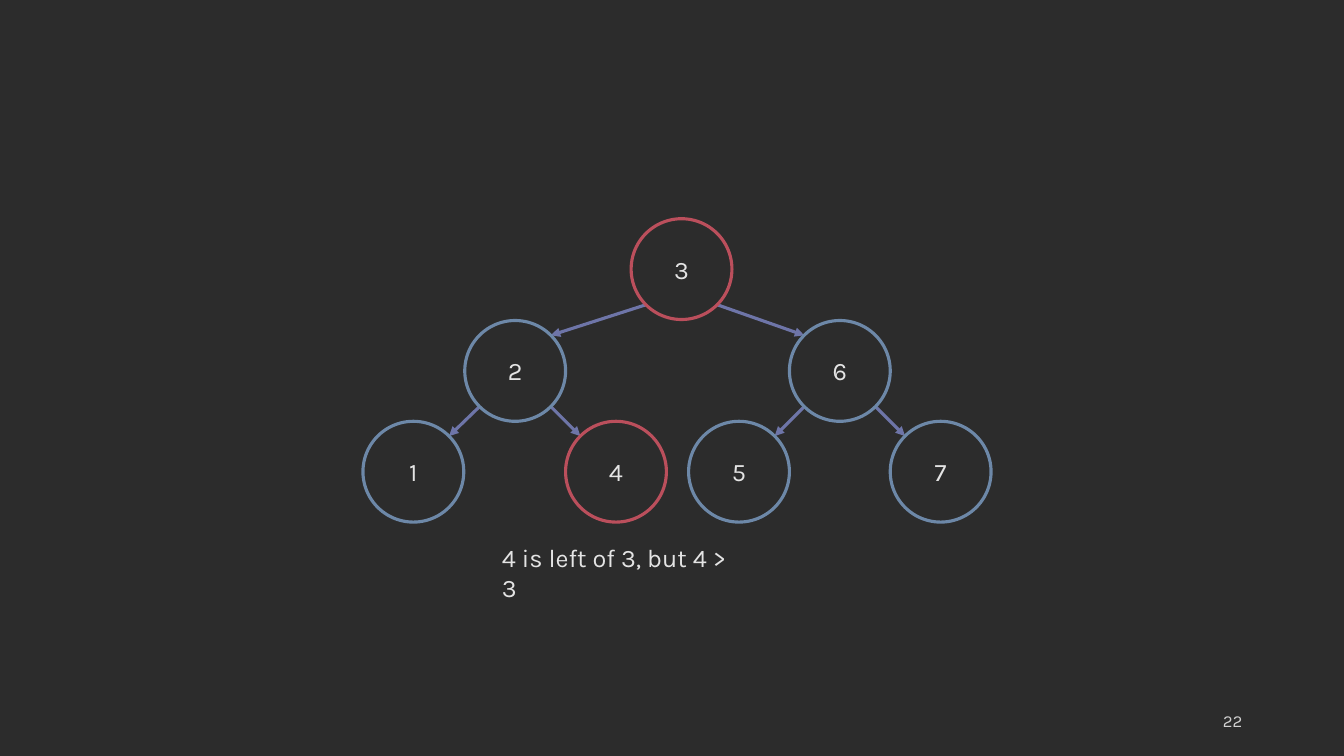
from dataclasses import dataclass
from math import sqrt

from pptx import Presentation
from pptx.dml.color import RGBColor
from pptx.enum import shapes, text
from pptx.oxml.ns import qn
from pptx.util import Inches, Pt

# Content: value -> left and top of the node, in inches
NODES = {
    3: (6.26, 2.17),
    2: (4.61, 3.18),
    6: (7.83, 3.18),
    1: (3.6, 4.18),
    4: (5.61, 4.18),
    5: (6.83, 4.18),
    7: (8.83, 4.18),
}
EDGES = [(3, 2), (3, 6), (2, 1), (2, 4), (6, 5), (6, 7)]
CONFLICT = {3, 4}
CAPTION = "4 is left of 3, but 4 > 3"
PAGE_NUMBER = "22"


@dataclass(frozen=True)
class Theme:
    font: str = "Karla"
    background: str = "2C2C2C"
    body: str = "E4E4E4"
    muted: str = "D1D1D1"
    node: str = "6D88A8"
    conflict: str = "BB4F5C"
    edge: str = "6E75A8"
    body_size: float = 18
    number_size: float = 12
    stroke: float = 2.25


THEME = Theme()
DIAMETER = 1
DIAGONAL = DIAMETER / 2 / sqrt(2)  # offset of a circle's diagonal points


def write(shape, words, size, color, align):
    frame = shape.text_frame
    frame.word_wrap = True
    frame.text = words
    paragraph = frame.paragraphs[0]
    paragraph.alignment = align
    font = paragraph.runs[0].font
    font.name = THEME.font
    font.size = Pt(size)
    font.color.rgb = RGBColor.from_string(color)
    return frame


def set_stroke(shape, color):
    shape.line.color.rgb = RGBColor.from_string(color)
    shape.line.width = Pt(THEME.stroke)


def add_node(slide, value):
    left, top = NODES[value]
    node = slide.shapes.add_shape(
        shapes.MSO_SHAPE.OVAL, Inches(left), Inches(top), Inches(DIAMETER), Inches(DIAMETER))
    node.shadow.inherit = False
    node.fill.background()
    set_stroke(node, THEME.conflict if value in CONFLICT else THEME.node)
    frame = write(node, str(value), THEME.body_size, THEME.body, text.PP_ALIGN.CENTER)
    frame.vertical_anchor = text.MSO_ANCHOR.MIDDLE
    frame.margin_left = frame.margin_right = frame.margin_top = frame.margin_bottom = 0


def add_edge(slide, parent, child):
    # Runs from the parent's lower diagonal point to the child's facing upper one
    (px, py), (cx, cy) = ((x + DIAMETER / 2, y + DIAMETER / 2)
                          for x, y in (NODES[parent], NODES[child]))
    side = DIAGONAL if cx > px else -DIAGONAL
    edge = slide.shapes.add_connector(
        shapes.MSO_CONNECTOR.STRAIGHT,
        Inches(px + side), Inches(py + DIAGONAL), Inches(cx - side), Inches(cy - DIAGONAL))
    set_stroke(edge, THEME.edge)
    line = edge.line._get_or_add_ln()
    line.append(line.makeelement(qn("a:tailEnd"), {"type": "triangle"}))
    properties = edge._element.spPr
    properties.append(properties.makeelement(qn("a:effectLst"), {}))


def main():
    deck = Presentation()
    deck.slide_width, deck.slide_height = Inches(13.33), Inches(7.5)
    slide = deck.slides.add_slide(deck.slide_layouts[6])
    slide.background.fill.solid()
    slide.background.fill.fore_color.rgb = RGBColor.from_string(THEME.background)

    # Tree
    for parent, child in EDGES:
        add_edge(slide, parent, child)
    for value in NODES:
        add_node(slide, value)

    # Caption
    caption = slide.shapes.add_textbox(Inches(4.88), Inches(5.33), Inches(2.47), Inches(0.4))
    write(caption, CAPTION, THEME.body_size, THEME.body, text.PP_ALIGN.LEFT)

    # Page number
    number = slide.shapes.add_textbox(Inches(9.42), Inches(6.95), Inches(3), Inches(0.4))
    frame = write(number, PAGE_NUMBER, THEME.number_size, THEME.muted, text.PP_ALIGN.RIGHT)
    frame.vertical_anchor = text.MSO_ANCHOR.MIDDLE

    deck.save("out.pptx")


if __name__ == "__main__":
    main()
